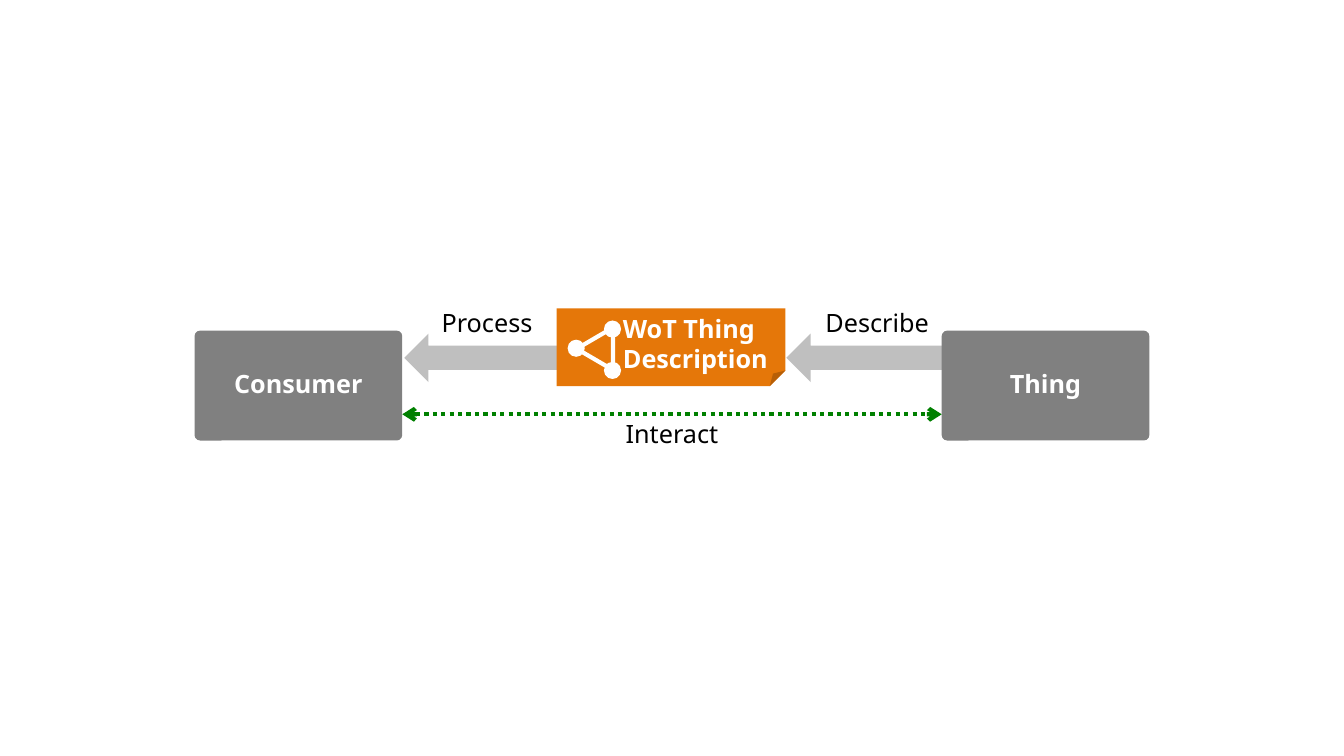
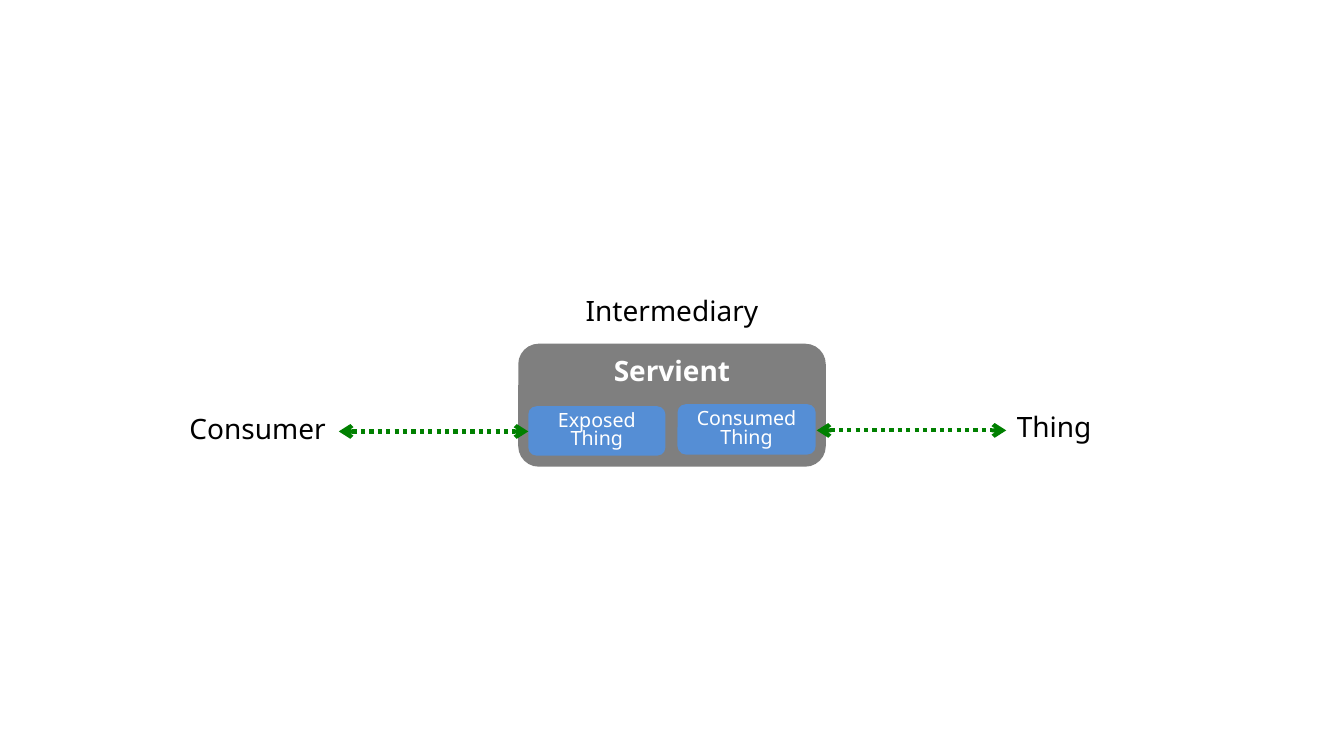
from lxml import etree
from pptx import Presentation
from pptx import util as u
from pptx.dml.color import RGBColor
from pptx.enum import dml, shapes, text
from pptx.oxml import ns

COLORS = {
    "black": "000000", "white": "FFFFFF", "box": "808080", "servient": "7F7F7F",
    "arrow": "BFBFBF", "note": "E57709", "thing": "558ED5", "link": "008000",
}
FONT = "Noto Sans"
KINDS = shapes.MSO_SHAPE
BOX_INSETS = (0.1, 0.04, 0.1, 0.08)
SERVIENT_INSETS = (0.08, 0.04, 0.08, 0.04)
DEFAULT_INSETS = (0.1, 0.05, 0.1, 0.05)

ROLE_TOP, ROLE_SIZE = 3.28, (2.06, 1.09)
ROLES = [("Consumer", 1.93), ("Thing", 9.34)]
FLOWS = [
    ("Process", (4.27, 3, 1.12, 0.4), (4.01, 1.52)),
    ("Describe", (8.08, 3, 1.24, 0.4), (7.8, 1.58)),
]
FLOW_TOP, FLOW_HEIGHT = 3.31, 0.48
INTERACT = ("Interact", (6.1, 4.1, 1.13, 0.4))
DESCRIPTION = (["WoT Thing", "Description"], (6.08, 3.06, 1.86, 0.71))
NOTE = (5.52, 3.06, 2.27, 0.77)
TRIANGLE = (5.69, 3.28, 0.42, 0.36)
NODE_SIZE = 0.17
NODES = [(5.99, 3.18), (5.63, 3.37), (5.99, 3.59)]

PARTIES = [
    ("Intermediary", (5.7, 2.86, 1.93, 0.44)),
    ("Thing", (9.98, 4.01, 0.95, 0.44)),
    ("Consumer", (1.77, 4.03, 1.57, 0.44)),
]
SERVIENT = ("Servient", (5.14, 3.41, 3.05, 1.22))
INNER_THINGS = [
    (["Exposed", "Thing"], (5.24, 4.03, 1.36, 0.49), True),
    (["Consumed", "Thing"], (6.72, 4.01, 1.37, 0.5), False),
]
LINKS = [(8.1, 9.98, 4.27), (3.36, 5.24, 4.28)]


def rgb(name):
    return RGBColor.from_string(COLORS[name])


def inches(values):
    return [u.Inches(value) for value in values]


def apply(target, values):
    for name, value in values.items():
        setattr(target, name, value)


def write(holder, lines, size, color="white", bold=False, align="CENTER",
          anchor="MIDDLE", wrap=False, insets=DEFAULT_INSETS, spacing=None):
    frame = holder.text_frame
    left, top, right, bottom = inches(insets)
    apply(frame, {
        "margin_left": left, "margin_top": top,
        "margin_right": right, "margin_bottom": bottom,
        "word_wrap": wrap, "vertical_anchor": getattr(text.MSO_ANCHOR, anchor),
    })
    frame.text = "\n".join(lines)
    for paragraph in frame.paragraphs:
        apply(paragraph, {"alignment": getattr(text.PP_ALIGN, align),
                          "line_spacing": spacing})
        for run in paragraph.runs:
            apply(run.font, {"name": FONT, "size": u.Pt(size), "bold": bold})
            run.font.color.rgb = rgb(color)


def add_label(slide, lines, place, size, **style):
    label = slide.shapes.add_textbox(*inches(place))
    write(label, lines, size, anchor="TOP", **style)
    label.text_frame.auto_size = text.MSO_AUTO_SIZE.SHAPE_TO_FIT_TEXT


def add_block(slide, kind, place, fill=None):
    block = slide.shapes.add_shape(kind, *inches(place))
    block.shadow.inherit = False
    if fill:
        block.fill.solid()
        block.fill.fore_color.rgb = rgb(fill)
    else:
        block.fill.background()
    block.line.fill.background()
    return block


def add_link(slide, start, end, y):
    link = slide.shapes.add_connector(
        shapes.MSO_CONNECTOR.STRAIGHT, *inches((start, y, end, y)))
    link.line.color.rgb = rgb("link")
    apply(link.line, {"width": u.Pt(3), "dash_style": dml.MSO_LINE.ROUND_DOT})
    outline = link._element.spPr.find(ns.qn("a:ln"))
    for end_tag in ("a:headEnd", "a:tailEnd"):
        etree.SubElement(outline, ns.qn(end_tag), type="arrow")
    etree.SubElement(link._element.spPr, ns.qn("a:effectLst"))


def fold_corner(note, share):
    guides = note._element.spPr.find(".//" + ns.qn("a:avLst"))
    etree.SubElement(guides, ns.qn("a:gd"), name="adj",
                     fmla=f"val {round(share * 100000)}")


def build_description(slide):
    for caption, place, (left, width) in FLOWS:
        add_block(slide, KINDS.LEFT_ARROW, (left, FLOW_TOP, width, FLOW_HEIGHT),
                  "arrow")
        add_label(slide, [caption], place, 18, color="black")
    for role, left in ROLES:
        box = add_block(slide, KINDS.ROUNDED_RECTANGLE,
                        (left, ROLE_TOP, *ROLE_SIZE), "box")
        box.adjustments[0] = 0.05
        write(box, [role], 18, bold=True, insets=BOX_INSETS)
    add_link(slide, ROLES[0][1] + ROLE_SIZE[0], ROLES[1][1], 4.11)
    caption, place = INTERACT
    add_label(slide, [caption], place, 18, color="black")

    fold_corner(add_block(slide, KINDS.FOLDED_CORNER, NOTE, "note"), 0.2)
    triangle = add_block(slide, KINDS.ISOSCELES_TRIANGLE, TRIANGLE)
    triangle.rotation = 270
    triangle.line.color.rgb = rgb("white")
    triangle.line.width = u.Pt(3)
    for node in NODES:
        add_block(slide, KINDS.OVAL, (*node, NODE_SIZE, NODE_SIZE), "white")
    lines, place = DESCRIPTION
    add_label(slide, lines, place, 18, bold=True, align="LEFT", wrap=True)


def build_intermediary(slide):
    for party, place in PARTIES:
        add_label(slide, [party], place, 20, color="black")
    title, place = SERVIENT
    servient = add_block(slide, KINDS.ROUNDED_RECTANGLE, place, "servient")
    write(servient, [title], 20, bold=True, anchor="TOP", wrap=True,
          insets=SERVIENT_INSETS)
    for lines, place, wrap in INNER_THINGS:
        thing = add_block(slide, KINDS.ROUNDED_RECTANGLE, place, "thing")
        write(thing, lines, 14, wrap=wrap, spacing=0.8)
    for link in LINKS:
        add_link(slide, *link)


def main():
    deck = Presentation()
    apply(deck, {"slide_width": u.Inches(13.33), "slide_height": u.Inches(7.5)})
    for build in (build_description, build_intermediary):
        build(deck.slides.add_slide(deck.slide_layouts[6]))
    deck.save("out.pptx")


if __name__ == "__main__":
    main()
